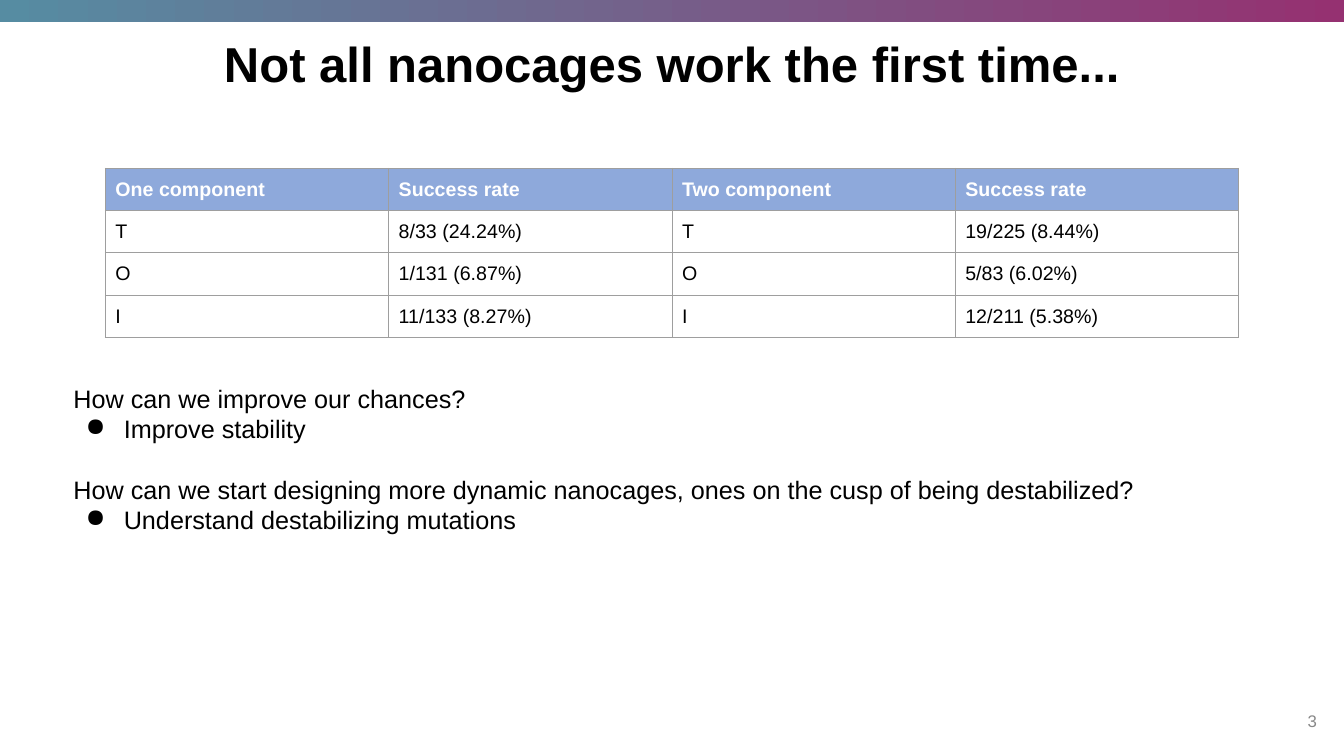
from lxml import etree
from pptx import Presentation, util as u
from pptx.dml.color import RGBColor
from pptx.enum import shapes, text
from pptx.oxml import ns

# Content
TITLE = "Not all nanocages work the first time..."
PAGE_NUMBER = "3"
RATES = [
    ("One component", "Success rate", "Two component", "Success rate"),
    ("T", "8/33 (24.24%)", "T", "19/225 (8.44%)"),
    ("O", "1/131 (6.87%)", "O", "5/83 (6.02%)"),
    ("I", "11/133 (8.27%)", "I", "12/211 (5.38%)"),
]
QUESTIONS = [
    ("How can we improve our chances?", "Improve stability"),
    ("How can we start designing more dynamic nanocages, ones on the cusp of being destabilized?",
     "Understand destabilizing mutations"),
]
COLORS = {"teal": "568CA2", "plum": "953171", "header": "8EA9DB", "border": "9E9E9E",
          "black": "000000", "white": "FFFFFF", "gray": "888888"}
FONT = "Arial"

# Layout, in inches
WIDTH, HEIGHT = 13.33, 7.5
BAND_HEIGHT = 0.22
COLUMN, ROW, TABLE_TOP = 2.81, 0.42, 1.67
TABLE_WIDTH = COLUMN * len(RATES[0])
TABLE_LEFT = (WIDTH - TABLE_WIDTH) / 2
BORDER_POINTS = 0.75
BLOCK_GAP = 22  # points between the two questions


def color(name):
    return RGBColor.from_string(COLORS[name])


def inches(*lengths):
    return [u.Inches(length) for length in lengths]


def write(para, words, size, ink="black", bold=False, align=text.PP_ALIGN.LEFT):
    """Put one formatted run of text into a paragraph."""
    para.alignment = align
    span = para.add_run()
    span.text = words
    span.font.name, span.font.size, span.font.bold = FONT, u.Pt(size), bold
    span.font.color.rgb = color(ink)


def set_insets(frame, side, vertical):
    frame.margin_left = frame.margin_right = u.Inches(side)
    frame.margin_top = frame.margin_bottom = u.Inches(vertical)


def add_text_box(page, place, vertical_inset):
    frame = page.shapes.add_textbox(*inches(*place)).text_frame
    frame.word_wrap = True
    set_insets(frame, 0.1, vertical_inset)
    return frame


def add_bullet(para):
    props = para._p.get_or_add_pPr()
    props.set("marL", str(u.Inches(0.5)))
    props.set("indent", str(u.Inches(-0.38)))
    ink = etree.SubElement(props, ns.qn("a:buClr"))
    etree.SubElement(ink, ns.qn("a:srgbClr"), val=COLORS["black"])
    etree.SubElement(props, ns.qn("a:buChar"), char="●")


def add_borders(cell):
    props = cell._tc.get_or_add_tcPr()
    for index, side in enumerate(("lnL", "lnR", "lnT", "lnB")):
        line = etree.Element(ns.qn(f"a:{side}"), w=str(u.Pt(BORDER_POINTS)))
        fill = etree.SubElement(line, ns.qn("a:solidFill"))
        etree.SubElement(fill, ns.qn("a:srgbClr"), val=COLORS["border"])
        props.insert(index, line)


def add_band(page):
    band = page.shapes.add_shape(shapes.MSO_SHAPE.RECTANGLE, *inches(0, 0, WIDTH, BAND_HEIGHT))
    band.shadow.inherit = False
    band.line.fill.background()
    band.fill.gradient()
    band.fill.gradient_angle = 0
    for stop, name in zip(band.fill.gradient_stops, ("teal", "plum")):
        stop.color.rgb = color(name)


def add_title(page):
    title = page.shapes.title
    title.left, title.top, title.width, title.height = inches(0.17, 0.35, 13, 0.71)
    frame = title.text_frame
    frame.vertical_anchor = text.MSO_ANCHOR.TOP
    frame.auto_size = text.MSO_AUTO_SIZE.NONE
    set_insets(frame, 0.1, 0.05)
    para = frame.paragraphs[0]
    para.line_spacing = 0.9
    write(para, TITLE, 35, bold=True, align=text.PP_ALIGN.CENTER)


def add_rates(page):
    place = inches(TABLE_LEFT, TABLE_TOP, TABLE_WIDTH, ROW * len(RATES))
    table = page.shapes.add_table(len(RATES), len(RATES[0]), *place).table
    table.first_row = table.horz_banding = False
    for row, values in enumerate(RATES):
        header = row == 0
        for column, value in enumerate(values):
            cell = table.cell(row, column)
            set_insets(cell, 0.1, 0.1)
            if header:
                cell.fill.solid()
                cell.fill.fore_color.rgb = color("header")
            else:
                cell.fill.background()
            add_borders(cell)
            write(cell.text_frame.paragraphs[0], value, 14,
                  ink="white" if header else "black", bold=header)


def add_questions(page):
    frame = add_text_box(page, (0.63, 3.7, 12.06, 1.72), 0.1)
    for index, (question, answer) in enumerate(QUESTIONS):
        para = frame.add_paragraph() if index else frame.paragraphs[0]
        para.space_before = u.Pt(BLOCK_GAP if index else 0)
        write(para, question, 18)
        para = frame.add_paragraph()
        write(para, answer, 18)
        add_bullet(para)


def add_page_number(page):
    frame = add_text_box(page, (9.41, 6.95, 3.75, 0.4), 0.05)
    frame.vertical_anchor = text.MSO_ANCHOR.MIDDLE
    write(frame.paragraphs[0], PAGE_NUMBER, 12, ink="gray", align=text.PP_ALIGN.RIGHT)


def main():
    deck = Presentation()
    deck.slide_width, deck.slide_height = inches(WIDTH, HEIGHT)
    page = deck.slides.add_slide(deck.slide_layouts.get_by_name("Title Only"))
    for add_part in (add_band, add_title, add_rates, add_questions, add_page_number):
        add_part(page)
    deck.save("out.pptx")


if __name__ == "__main__":
    main()
